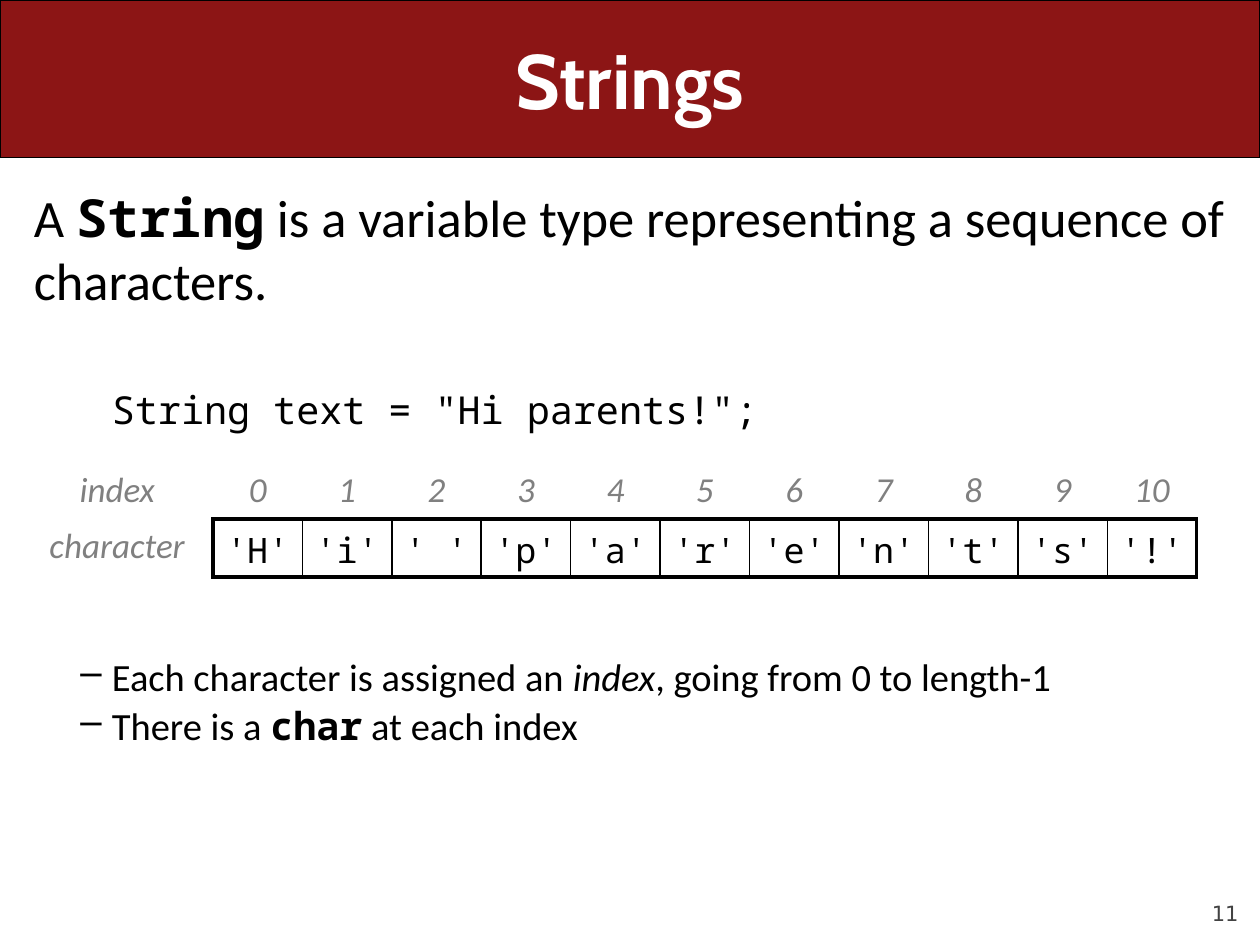
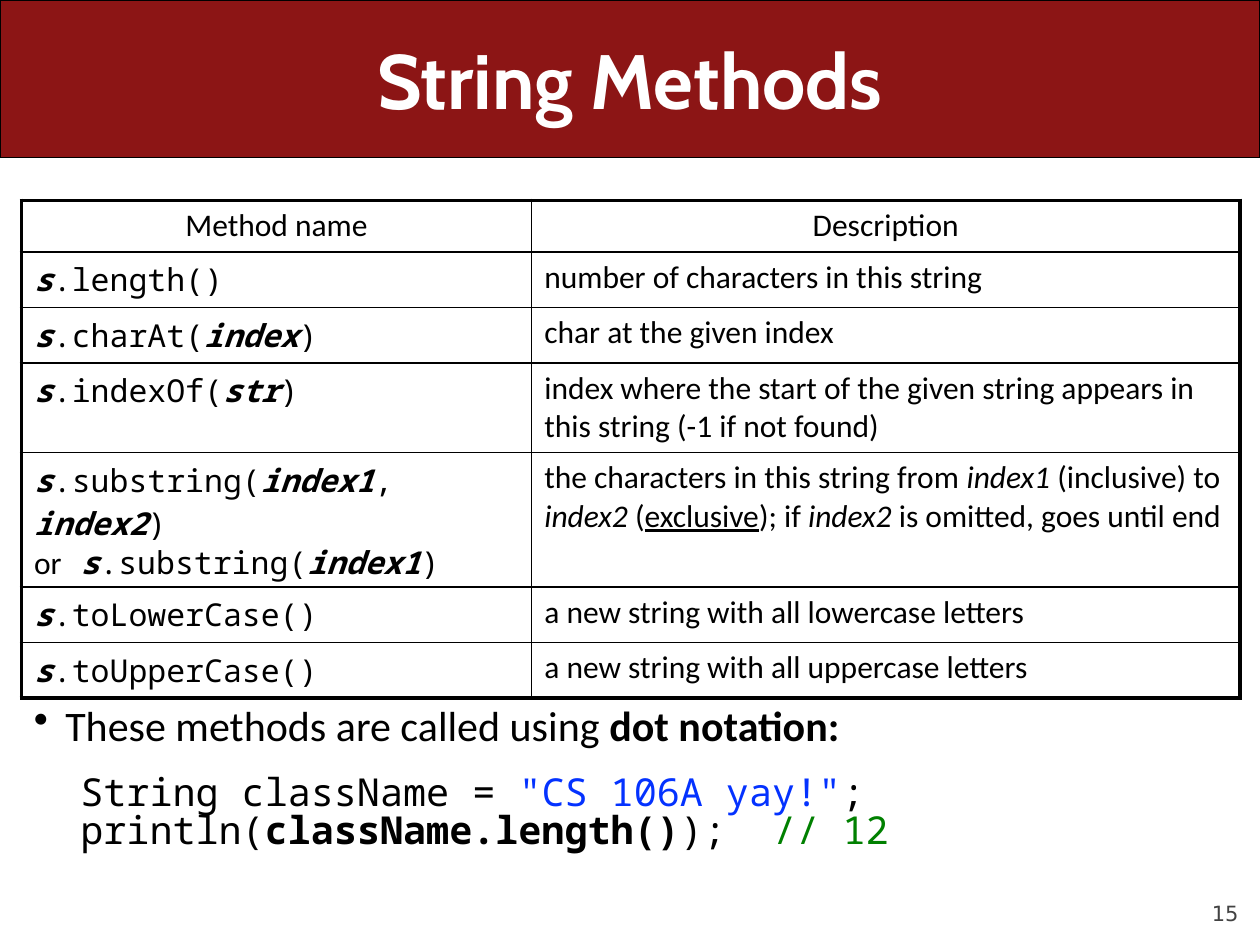
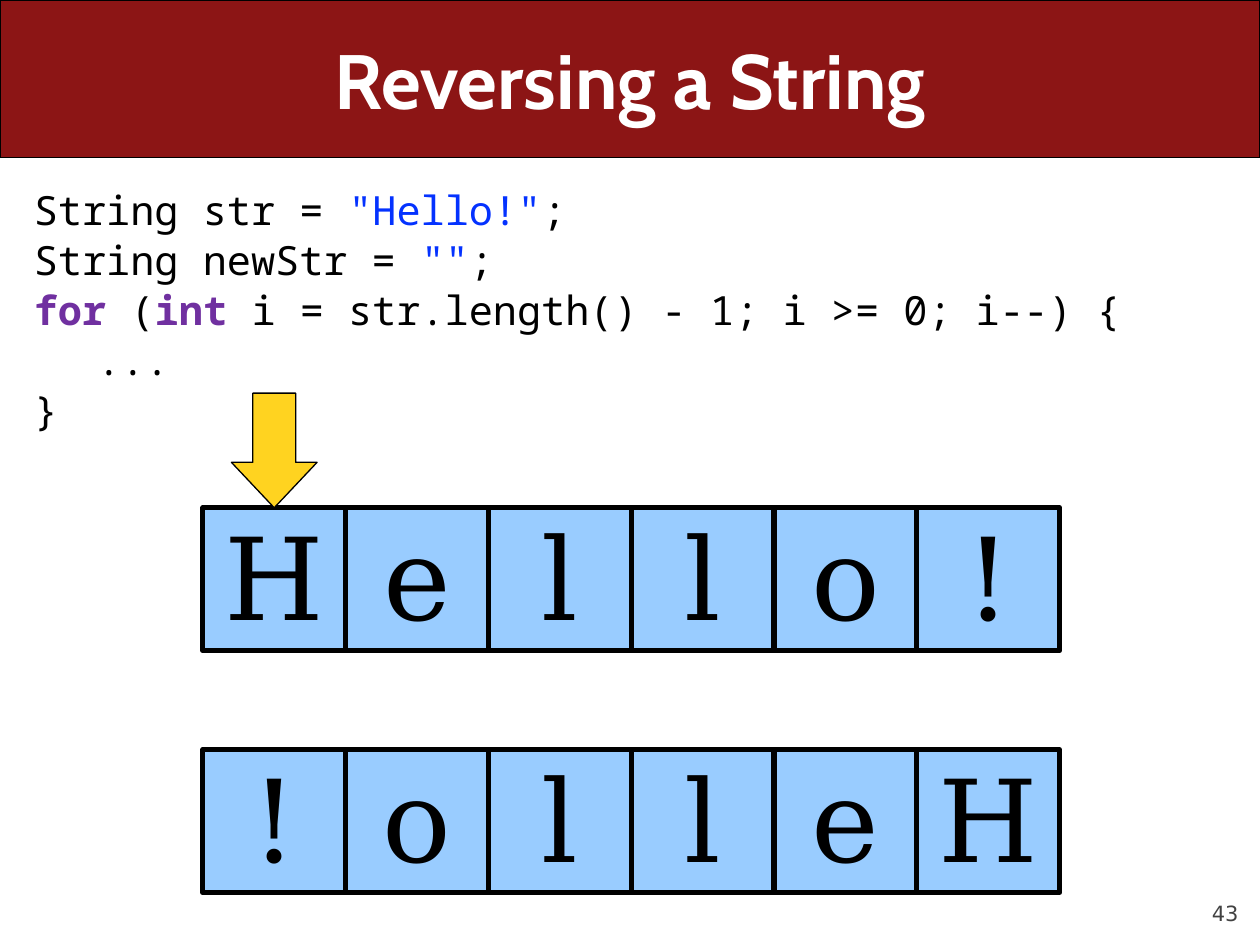
from dataclasses import dataclass

from lxml import etree
from pptx import Presentation
from pptx import util as u
from pptx.dml import color as dml
from pptx.enum import shapes, text
from pptx.oxml import ns


@dataclass(frozen=True)
class Theme:
    heading: str = "Cabin"
    body: str = "Calibri"
    mono: str = "Noto Sans Mono"
    tile: str = "DejaVu Serif"
    footer: str = "DejaVu Sans"
    ink: str = "000000"
    white: str = "FFFFFF"
    band: str = "8C1515"
    page: str = "424242"
    label: str = "808080"
    literal: str = "0432FF"
    keyword: str = "7030A0"
    comment: str = "008000"
    tile_fill: str = "99CCFF"
    arrow: str = "FFD320"
    title_size: float = 44
    intro_size: float = 30
    point_size: float = 24
    loop_size: float = 23
    code_size: float = 22
    index_size: float = 20
    method_size: float = 18
    page_size: float = 12
    tile_size: float = 65.3
    thick: float = 2.25
    thin: float = 1


THEME = Theme()
BODY = (0.17, 1.42, 9.67, 5.67)
CODE_INDENT = 0.62
LEFT, CENTER, RIGHT = text.PP_ALIGN.LEFT, text.PP_ALIGN.CENTER, text.PP_ALIGN.RIGHT


def call(method, *arguments):
    """Runs for a method call on s, with its parameters emphasised."""
    runs = [("s", "mono bold italic"), (f".{method}(", "mono")]
    for position, argument in enumerate(arguments):
        if position:
            runs.append((", ", "mono"))
        runs.append((argument, "mono bold italic"))
    return runs[:-1] + [(runs[-1][0] + ")", "mono")] if not arguments else runs + [(")", "mono")]


# Content: a run is (words, style); a paragraph is (runs, options)
STRING_NOTES = [
    ([("A ", ""), ("String", "mono bold"),
      (" is a variable type representing a sequence of characters.", "")],
     dict(size=THEME.intro_size)),
    ([('String text = "Hi parents!";', "mono")],
     dict(size=THEME.code_size, before=43, margin=CODE_INDENT)),
    ([("Each character is assigned an ", ""), ("index", "italic"),
      (", going from 0 to length-1", "")],
     dict(size=THEME.code_size, before=126, margin=CODE_INDENT, bullet="–")),
    ([("There is a ", ""), ("char", "mono bold"), (" at each index", "")],
     dict(size=THEME.code_size, before=1.5, margin=CODE_INDENT, bullet="–")),
]
GREETING = "Hi parents!"

METHODS = [
    ([call("length")], [("number of characters in this string", "")]),
    ([call("charAt", "index")], [("char at the given index", "")]),
    ([call("indexOf", "str")],
     [("index where the start of the given string appears in this string "
       "(-1 if not found)", "")]),
    ([call("substring", "index1", "index2"),
      [("or", ""), (" ", "mono")] + call("substring", "index1")],
     [("the characters in this string from ", ""), ("index1", "italic"),
      (" (inclusive) to ", ""), ("index2", "italic"), (" (", ""),
      ("exclusive", "underline"), ("); if ", ""), ("index2", "italic"),
      (" is omitted, goes until end", "")]),
    ([call("toLowerCase")], [("a new string with all lowercase letters", "")]),
    ([call("toUpperCase")], [("a new string with all uppercase letters", "")]),
]
METHOD_ROWS = [0.41, 0.44, 0.44, 0.71, 1.07, 0.44, 0.44]
DOT_NOTATION = [
    ([("These methods are called using ", ""), ("dot notation:", "bold")],
     dict(size=THEME.point_size, margin=0.25, bullet="•")),
    ([("String className = ", "mono"), ('"CS 106A yay!"', "mono literal"), (";", "mono")],
     dict(size=THEME.code_size, before=15.5, margin=0.37, spacing=0.8)),
    ([("println(", "mono"), ("className.length()", "mono bold"), (");\t", "mono"),
      ("// 12", "mono comment")],
     dict(size=THEME.code_size, before=1, margin=0.37, spacing=0.8, tab=6.05)),
]

REVERSE_LOOP = [
    [("String str = ", "mono"), ('"Hello!"', "mono literal"), (";", "mono")],
    [("String newStr = ", "mono"), ('""', "mono literal"), (";", "mono")],
    [("for ", "mono bold keyword"), ("(", "mono"), ("int ", "mono bold keyword"),
     ("i = str.length() - 1; i >= 0; i--) {", "mono")],
    [("\t...", "mono")],
    [("}", "mono")],
]
WORD = "Hello!"


# Text helpers
def rgb(value):
    return dml.RGBColor.from_string(value)


def inches(*values):
    return [u.Inches(value) for value in values]


def style_font(font, face, size, colour, bold=False):
    font.name, font.size, font.bold = face, u.Pt(size), bold
    font.color.rgb = rgb(colour)


def write(paragraph, runs, size, before=0, margin=0, bullet=None, spacing=None,
          tab=None, align=LEFT):
    paragraph.alignment = align
    if spacing:
        paragraph.line_spacing = spacing
    if before:
        paragraph.space_before = u.Pt(before)
    properties = paragraph._p.get_or_add_pPr()
    properties.set("marL", str(u.Inches(margin)))
    properties.set("indent", str(u.Inches(-0.25 if bullet else 0)))
    if bullet:
        etree.SubElement(properties, ns.qn("a:buChar")).set("char", bullet)
    if tab:
        tabs = etree.SubElement(properties, ns.qn("a:tabLst"))
        etree.SubElement(tabs, ns.qn("a:tab"), pos=str(u.Inches(tab)), algn="l")
    for words, style in runs:
        run = paragraph.add_run()
        run.text = words
        marks = style.split()
        colour = next((getattr(THEME, mark) for mark in marks
                       if mark in ("label", "literal", "keyword", "comment")), THEME.ink)
        style_font(run.font, THEME.mono if "mono" in marks else THEME.body, size,
                   colour, "bold" in marks)
        run.font.italic = "italic" in marks
        run.font.underline = "underline" in marks


def write_all(frame, paragraphs):
    for position, (runs, options) in enumerate(paragraphs):
        write(frame.add_paragraph() if position else frame.paragraphs[0], runs, **options)


def add_body(slide, place, paragraphs):
    frame = slide.shapes.add_textbox(*inches(*place)).text_frame
    frame.word_wrap = True
    write_all(frame, paragraphs)


def add_label(slide, place, words, face, size, colour, align, anchor, bold=False, inset=None):
    frame = slide.shapes.add_textbox(*inches(*place)).text_frame
    frame.word_wrap = True
    frame.vertical_anchor = anchor
    if inset is not None:
        set_insets(frame, inset, inset, inset, inset)
    frame.text = words
    frame.paragraphs[0].alignment = align
    style_font(frame.paragraphs[0].runs[0].font, face, size, colour, bold)


def set_insets(frame, *sides):
    (frame.margin_left, frame.margin_top,
     frame.margin_right, frame.margin_bottom) = inches(*sides)


# Shape and table helpers
def add_block(slide, preset, place, fill, weight=0.75):
    block = slide.shapes.add_shape(preset, *inches(*place))
    block.shadow.inherit = False
    block.fill.solid()
    block.fill.fore_color.rgb = rgb(fill)
    block.line.color.rgb = rgb(THEME.ink)
    block.line.width = u.Pt(weight)
    return block


def add_grid(slide, left, top, columns, rows):
    grid = slide.shapes.add_table(len(rows), len(columns),
                                  *inches(left, top, sum(columns), sum(rows))).table
    grid.first_row = grid.horz_banding = False
    for column, width in zip(grid.columns, columns):
        column.width = u.Inches(width)
    for row, height in zip(grid.rows, rows):
        row.height = u.Inches(height)
    return grid


def rule_cells(grid, first_row=0, first_column=0):
    """Thick frame around the cells from the first one on, thin rules between them."""
    def framed(row, column):
        return (first_row <= row < len(grid.rows)
                and first_column <= column < len(grid.columns))

    sides = [("lnL", 0, -1), ("lnR", 0, 1), ("lnT", -1, 0), ("lnB", 1, 0)]
    for row in range(len(grid.rows)):
        for column in range(len(grid.columns)):
            cell = grid.cell(row, column)
            cell.fill.background()
            properties = cell._tc.get_or_add_tcPr()
            for order, (side, down, across) in enumerate(sides):
                inside = framed(row, column) + framed(row + down, column + across)
                weight = (0, THEME.thick, THEME.thin)[inside]
                rule = etree.Element(ns.qn(f"a:{side}"), w=str(u.Pt(weight)))
                if weight:
                    fill = etree.SubElement(rule, ns.qn("a:solidFill"))
                    etree.SubElement(fill, ns.qn("a:srgbClr"), val=THEME.ink)
                else:
                    etree.SubElement(rule, ns.qn("a:noFill"))
                properties.insert(order, rule)


# Shared band, title and page number
def add_slide(deck, title, page):
    slide = deck.slides.add_slide(deck.slide_layouts[6])
    add_label(slide, (9, 6.95, 0.83, 0.4), str(page), THEME.footer, THEME.page_size,
              THEME.page, RIGHT, text.MSO_ANCHOR.BOTTOM, inset=0)
    band = add_block(slide, shapes.MSO_SHAPE.ROUNDED_RECTANGLE, (0, 0, 10, 1.25), THEME.band)
    band.adjustments[0] = 0
    add_label(slide, (0.5, 0, 9, 1.25), title, THEME.heading, THEME.title_size,
              THEME.white, CENTER, text.MSO_ANCHOR.MIDDLE, bold=True)
    return slide


def strings_slide(deck):
    slide = add_slide(deck, "Strings", 11)
    add_body(slide, BODY, STRING_NOTES)
    grid = add_grid(slide, 0.17, 3.67, [1.52] + [0.71] * len(GREETING), [0.45, 0.46])
    columns = [("index", "character", "label italic")]
    columns += [(str(index), f"'{letter}'", "mono")
                for index, letter in enumerate(GREETING)]
    for column, (index, character, style) in enumerate(columns):
        for row, run in enumerate([(index, "label italic"), (character, style)]):
            write(grid.cell(row, column).text_frame.paragraphs[0], [run],
                  THEME.index_size, align=CENTER)
    rule_cells(grid, first_row=1, first_column=1)


def methods_slide(deck):
    slide = add_slide(deck, "String Methods", 15)
    grid = add_grid(slide, 0.17, 1.59, [4.05, 5.62], METHOD_ROWS)
    size = THEME.method_size
    for column, heading in enumerate(["Method name", "Description"]):
        write(grid.cell(0, column).text_frame.paragraphs[0], [(heading, "")], size,
              align=CENTER)
    for row, (calls, description) in enumerate(METHODS, 1):
        write_all(grid.cell(row, 0).text_frame,
                  [(runs, dict(size=size, before=3.6, spacing=0.7) if position
                    else dict(size=size)) for position, runs in enumerate(calls)])
        write_all(grid.cell(row, 1).text_frame, [(description, dict(size=size))])
    rule_cells(grid)
    add_body(slide, (0.17, 5.5, 9.67, 1.58), DOT_NOTATION)


def add_tiles(slide, word, left, top, side):
    for position, letter in enumerate(word):
        tile = add_block(slide, shapes.MSO_SHAPE.RECTANGLE,
                         (left + position * side, top, side, side), THEME.tile_fill, 2.89)
        frame = tile.text_frame
        frame.word_wrap = False
        frame.vertical_anchor = text.MSO_ANCHOR.MIDDLE
        set_insets(frame, 0.11, 0.08, 0.11, 0.06)
        frame.text = letter
        paragraph = frame.paragraphs[0]
        paragraph.alignment = CENTER
        paragraph.line_spacing = 0.98
        style_font(paragraph.runs[0].font, THEME.tile, THEME.tile_size, THEME.ink)


def reversing_slide(deck):
    slide = add_slide(deck, "Reversing a String", 43)
    add_body(slide, BODY, [(runs, dict(size=THEME.loop_size, before=1 if position else 0))
                           for position, runs in enumerate(REVERSE_LOOP)])
    left, top, side = 1.61, 4.03, 6.8 / len(WORD)
    add_tiles(slide, WORD[::-1], left, 5.95, side)
    add_tiles(slide, WORD, left, top, side)
    # Arrow standing on the first letter
    width, height = 0.68, 0.91
    arrow = add_block(slide, shapes.MSO_SHAPE.DOWN_ARROW,
                      (left + (side - width) / 2, top - height, width, height), THEME.arrow)
    arrow.adjustments[0], arrow.adjustments[1] = 0.5, 0.53


def main():
    deck = Presentation()
    deck.slide_width, deck.slide_height = inches(10, 7.5)
    strings_slide(deck)
    methods_slide(deck)
    reversing_slide(deck)
    deck.save("out.pptx")


if __name__ == "__main__":
    main()
